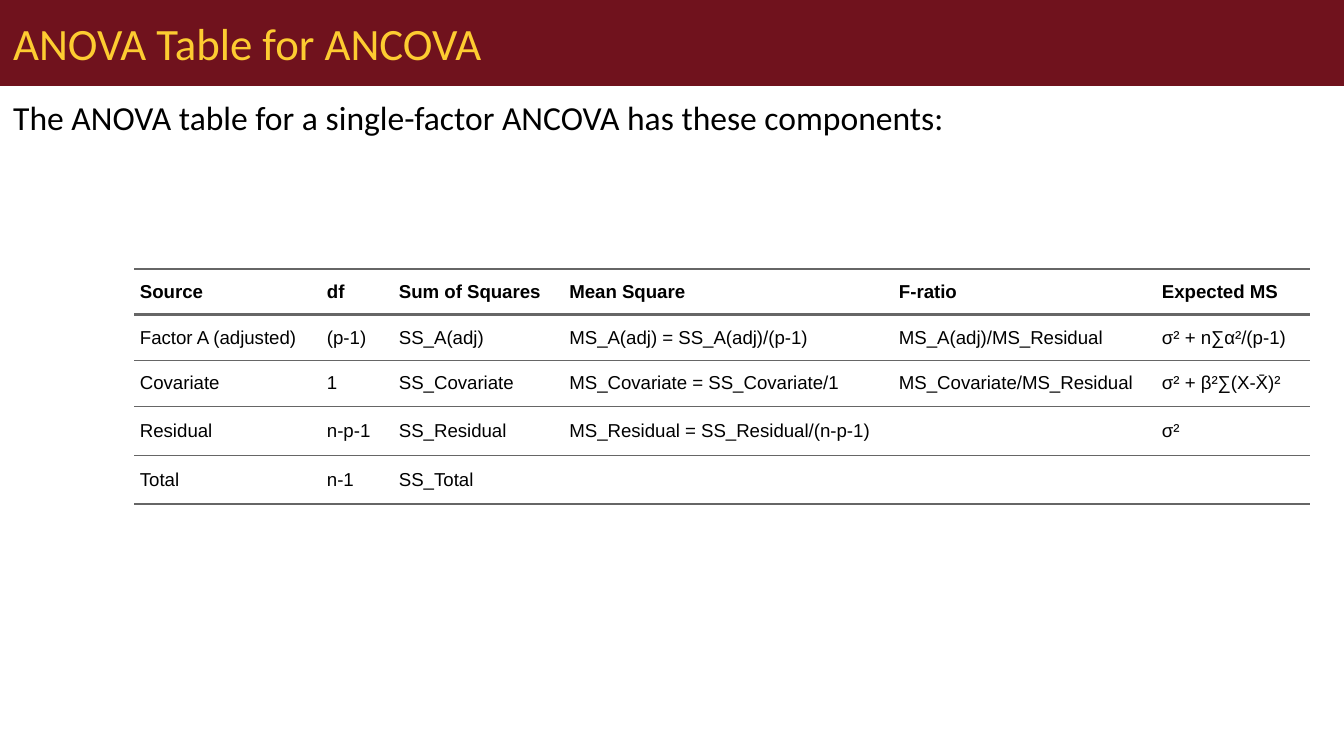
from dataclasses import dataclass

from lxml.etree import SubElement
from pptx import Presentation
from pptx.dml.color import RGBColor as RGB
from pptx.enum.shapes import MSO_SHAPE as Shape
from pptx.enum.text import MSO_ANCHOR as Anchor, PP_ALIGN as Align
from pptx.oxml import parse_xml
from pptx.oxml.ns import nsdecls, qn
from pptx.util import Pt


@dataclass(frozen=True)
class Theme:
    maroon: RGB = RGB(0x70, 0x12, 0x1D)
    gold: RGB = RGB(0xFD, 0xCC, 0x31)
    black: RGB = RGB(0, 0, 0)
    rule: str = "666666"
    head: str = "Calibri"
    body: str = "Arial"
    title: int = 24
    lead: int = 18
    cell: int = 10
    thick: float = 1.5
    thin: float = 0.75


THEME = Theme()
PLAIN = "{2D5ABB26-0587-4C30-8999-92F81FD0307C}"  # no style, no grid

WIDTHS = [100.2, 38.6, 91.3, 176.6, 140.9, 82.1]
HEIGHTS = [24.6, 24.6, 24.6, 26.2, 26.2]
ROWS = [
    ["Source", "df", "Sum of Squares", "Mean Square", "F-ratio", "Expected MS"],
    ["Factor A (adjusted)", "(p-1)", "SS_A(adj)", "MS_A(adj) = SS_A(adj)/(p-1)",
     "MS_A(adj)/MS_Residual", "σ² + n∑α²/(p-1)"],
    ["Covariate", "1", "SS_Covariate", "MS_Covariate = SS_Covariate/1",
     "MS_Covariate/MS_Residual", "σ² + β²∑(X-X̄)²"],
    ["Residual", "n-p-1", "SS_Residual", "MS_Residual = SS_Residual/(n-p-1)", "", "σ²"],
    ["Total", "n-1", "SS_Total", "", "", ""],
]


def write(frame, text, font, size, color, bold=False):
    para = frame.paragraphs[0]
    para.text = text
    para.alignment = Align.LEFT
    para.font.name = font
    para.font.size = Pt(size)
    para.font.color.rgb = color
    para.font.bold = bold


def add_band(slide, text):
    band = slide.shapes.add_shape(Shape.RECTANGLE, 0, 0, Pt(720), Pt(46))
    band.shadow.inherit = False
    band.fill.solid()
    band.fill.fore_color.rgb = THEME.maroon
    band.line.fill.background()
    band.text_frame.vertical_anchor = Anchor.MIDDLE
    write(band.text_frame, text, THEME.head, THEME.title, THEME.gold)


def add_lead(slide, text):
    box = slide.shapes.add_textbox(0, Pt(48.2), Pt(716), Pt(308))
    box.text_frame.word_wrap = True
    write(box.text_frame, text, THEME.head, THEME.lead, THEME.black)


def set_edges(cell, top, bottom):
    props = cell._tc.get_or_add_tcPr()
    for spot, (side, width) in enumerate((("lnT", top), ("lnB", bottom))):
        line = parse_xml(f'<a:{side} {nsdecls("a")} w="{Pt(width)}"/>')
        fill = SubElement(line, qn("a:solidFill"))
        SubElement(fill, qn("a:srgbClr"), val=THEME.rule)
        props.insert(spot, line)


def add_grid(slide):
    frame = slide.shapes.add_table(len(ROWS), len(WIDTHS), Pt(72), Pt(144),
                                   Pt(sum(WIDTHS)), Pt(sum(HEIGHTS)))
    table = frame.table
    table._tbl.tblPr.find(qn("a:tableStyleId")).text = PLAIN
    table.horz_banding = False
    for col, width in zip(table.columns, WIDTHS):
        col.width = Pt(width)

    # Thick rules frame the header and close the table
    rules = [THEME.thin] * (len(ROWS) + 1)
    for edge in (0, 1, -1):
        rules[edge] = THEME.thick

    for r, texts in enumerate(ROWS):
        table.rows[r].height = Pt(HEIGHTS[r])
        for c, text in enumerate(texts):
            cell = table.cell(r, c)
            cell.fill.background()
            cell.vertical_anchor = Anchor.MIDDLE
            cell.margin_left = cell.margin_top = cell.margin_bottom = Pt(3)
            cell.margin_right = 0
            write(cell.text_frame, text, THEME.body, THEME.cell, THEME.black, r == 0)
            set_edges(cell, rules[r], rules[r + 1])


def main():
    deck = Presentation()
    deck.slide_width, deck.slide_height = Pt(720), Pt(405)
    slide = deck.slides.add_slide(deck.slide_layouts[6])

    # Heading and lead sentence
    add_band(slide, "ANOVA Table for ANCOVA")
    add_lead(slide, "The ANOVA table for a single-factor ANCOVA has these components:")

    # Table of variance components
    add_grid(slide)
    deck.save("out.pptx")


if __name__ == "__main__":
    main()
